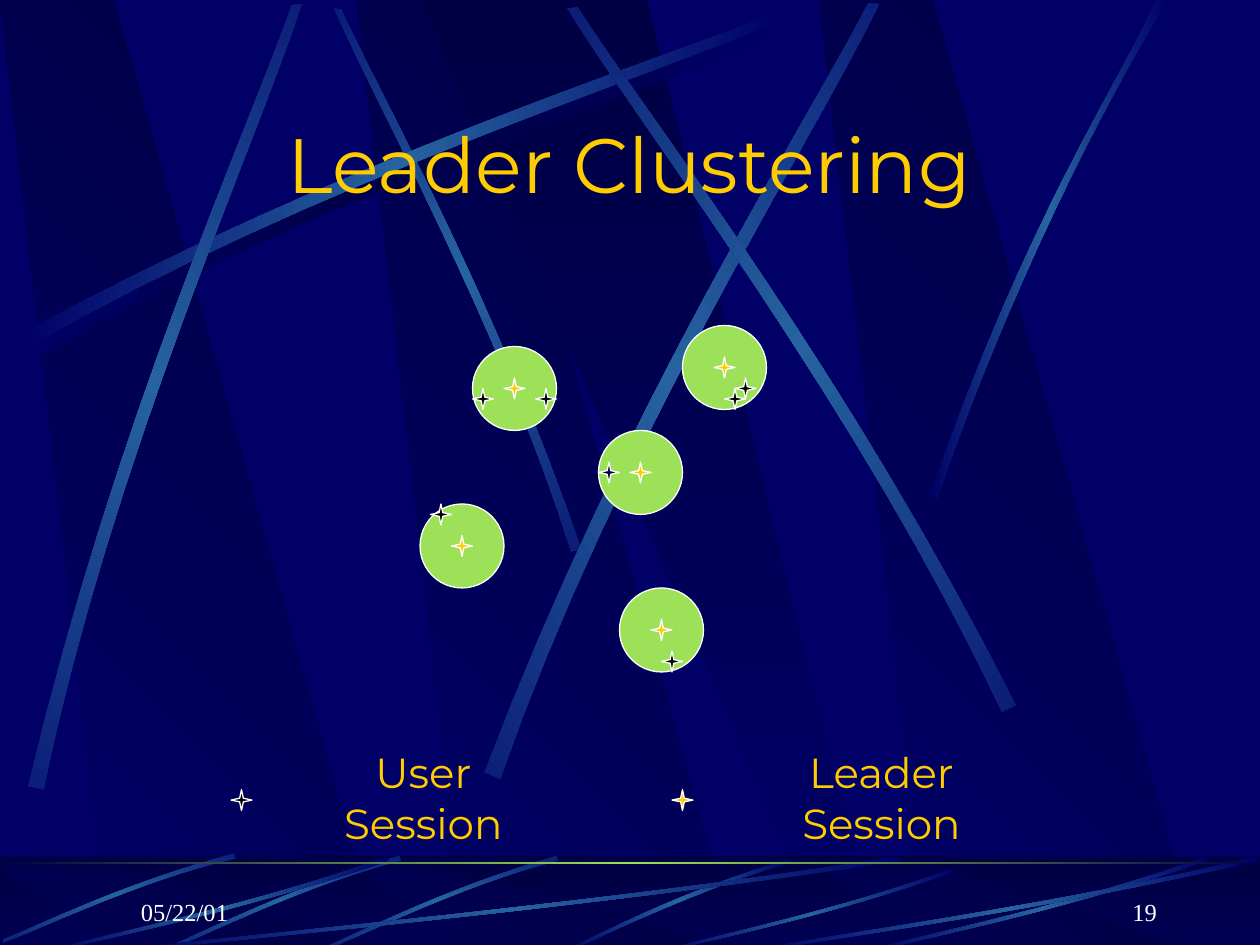
from copy import deepcopy

from lxml.etree import SubElement
from pptx import Presentation
from pptx.dml.color import RGBColor
from pptx.enum.shapes import MSO_SHAPE
from pptx.enum.text import MSO_ANCHOR, PP_ALIGN
from pptx.oxml.ns import qn
from pptx.util import Cm, Pt

NIGHT, NAVY, BLUE = "000044", "000066", "2663A0"
GREEN, GOLD, WHITE, BLACK = "9CE157", "FFCC00", "FFFFFF", "000000"
STEP = 2.54 / 12  # grid of the cluster diagram, in cm


def color(hex_code):
    return RGBColor.from_string(hex_code)


def curve(start, control_1, control_2, end, pieces=16):
    """Points along a cubic curve."""
    points = []
    for i in range(pieces + 1):
        t = i / pieces
        weights = ((1 - t) ** 3, 3 * t * (1 - t) ** 2, 3 * t * t * (1 - t), t ** 3)
        corners = (start, control_1, control_2, end)
        points.append(tuple(sum(w * c[axis] for w, c in zip(weights, corners))
                            for axis in (0, 1)))
    return points


# Outlines as fractions of their box
SLANT = [(0.29, 1), (1, 1), (0.3, 0), (0, 0)]
BEAM = [(0, 0), (0.9, 1), (1, 1), (0.5, 0)]
SWEEP = (curve((0, 0.96), (0.43, 0.43), (0.83, 0.15), (0.99, 0))
         + curve((1, 0.02), (0.83, 0.19), (0.39, 0.5), (0.01, 1)))
SIDE_SWEEP = (curve((0, 0.99), (0.4, 0.44), (0.79, 0.17), (0.95, 0))
              + curve((1, 0), (0.52, 0.37), (0.16, 0.81), (0.03, 1)))
FOOTER_SWEEP = (curve((0.99, 0), (0.49, 0.37), (0.16, 0.82), (0, 0.99))
                + curve((0.03, 1), (0.23, 0.75), (0.68, 0.25), (1, 0.04)))


class Deck:
    text_color = GOLD
    font_name = "Montserrat"

    def __init__(self):
        self.presentation = Presentation()
        self.presentation.slide_width = Cm(25.4)
        self.presentation.slide_height = Cm(19.05)
        self.slide = None

    def add_slide(self, background):
        self.slide = self.presentation.slides.add_slide(
            self.presentation.slide_layouts[6])
        self.slide.background.fill.solid()
        self.slide.background.fill.fore_color.rgb = color(background)

    def paint(self, shape, fill, angle=0, opacity=100, line=None):
        """Fill with one colour, or with evenly spaced gradient colours."""
        shape.shadow.inherit = False
        if isinstance(fill, str):
            shape.fill.solid()
            shape.fill.fore_color.rgb = color(fill)
            if opacity < 100:
                tint = shape._element.spPr.find(qn("a:solidFill"))[0]
                SubElement(tint, qn("a:alpha")).set("val", str(opacity * 1000))
        else:
            shape.fill.gradient()
            shape.fill.gradient_angle = -angle % 360
            stop_list = shape._element.spPr.find(qn("a:gradFill")).find(qn("a:gsLst"))
            while len(stop_list) < len(fill):
                stop_list.append(deepcopy(stop_list[-1]))
            for i, (stop, shade) in enumerate(zip(shape.fill.gradient_stops, fill)):
                stop.color.rgb = color(shade)
                stop.position = i / (len(fill) - 1)
        if line:
            shape.line.color.rgb = color(line)
            shape.line.width = Pt(0.75)
        else:
            shape.line.fill.background()

    def outline(self, fractions, box, fill, angle=0, rotation=0, mirrored=False):
        left, top, width, height = box
        points = [(int(Cm(left + width * (1 - x if mirrored else x))),
                   int(Cm(top + height * y))) for x, y in fractions]
        builder = self.slide.shapes.build_freeform(*points[0], scale=1.0)
        builder.add_line_segments(points[1:], close=True)
        shape = builder.convert_to_shape()
        shape.rotation = rotation
        self.paint(shape, fill, angle)

    def streak(self, fractions, box, rotation=0, mirrored=False, glow=BLUE):
        self.outline(fractions, box, (NAVY, glow, NAVY), 180, rotation, mirrored)

    def preset(self, kind, box, fill, **style):
        shape = self.slide.shapes.add_shape(kind, *map(Cm, box))
        self.paint(shape, fill, **style)

    def mark(self, kind, center, radius, fill):
        """Outlined symbol around a point of the diagram grid."""
        column, row = center
        box = [STEP * v for v in (column - radius, row - radius, 2 * radius, 2 * radius)]
        self.preset(kind, box, fill, line=WHITE)

    def star(self, center, fill):
        self.mark(MSO_SHAPE.STAR_4_POINT, center, 1, fill)

    def text(self, words, box, size, align=PP_ALIGN.CENTER, anchor=MSO_ANCHOR.MIDDLE,
             font_name=None, text_color=None, indent=0):
        frame = self.slide.shapes.add_textbox(*map(Cm, box)).text_frame
        frame.word_wrap = True
        frame.vertical_anchor = anchor
        frame.margin_left = Cm(0.25 + indent)
        paragraph = frame.paragraphs[0]
        paragraph.text = words
        paragraph.alignment = align
        paragraph.font.size = Pt(size)
        paragraph.font.name = font_name or self.font_name
        paragraph.font.color.rgb = color(text_color or self.text_color)

    def save(self):
        self.presentation.save("out.pptx")


def add_panels(deck, tops, beam_top, height):
    for left, top in zip((7.19, 0, 16.51), tops):
        deck.outline(SLANT, (left, top, 7.67, height), (NIGHT, NAVY), 135)
    deck.outline(BEAM, (8.46, beam_top, 9.17, height), (NIGHT, NAVY), 90)


def main():
    deck = Deck()
    deck.add_slide(NAVY)

    # Backdrop panels and light streaks
    add_panels(deck, (0.02, 0, 0.02), 0, 19.1)
    deck.streak(SWEEP, (0.51, 0.46, 15.44, 6.78), glow=NIGHT)
    deck.streak(SWEEP, (3.58, 3.43, 11.23, 4.45), 45, mirrored=True)
    deck.streak(SWEEP, (0.36, 0.25, 15.44, 6.78))
    deck.streak(SWEEP, (-4.34, 4.62, 15.44, 6.78), 311.7)
    deck.streak(SWEEP, (5.87, 4.06, 15.85, 7.65), 321.6)
    deck.streak(SWEEP, (8.2, 3.86, 15.44, 6.78), 34.8, mirrored=True)
    deck.streak(SIDE_SWEEP, (18.75, 0, 4.8, 10.08))

    # Footer band
    deck.preset(MSO_SHAPE.RECTANGLE, (0, 17.27, 25.4, 1.9), (NIGHT, NAVY), angle=90)
    add_panels(deck, (17.48,) * 3, 17.48, 1.68)
    deck.preset(MSO_SHAPE.RECTANGLE, (0, 17.25, 25.4, 1.9), NIGHT, opacity=50)
    deck.streak(FOOTER_SWEEP, (11.38, 17.32, 4.57, 1.85))
    for box in ((6.55, 17.17, 4.67, 2.11), (3.38, 17.17, 4.67, 2.11),
                (0.13, 17.04, 4.55, 2.16)):
        deck.streak(SWEEP, box, 314.9, mirrored=True)
    for box in ((2.54, 17.27, 15.67, 1.9), (1.07, 17.27, 6.78, 1.9),
                (13.39, 17.5, 5.87, 1.68), (17.58, 17.27, 6.78, 1.9),
                (15.24, 17.27, 10.16, 1.9)):
        deck.streak(SWEEP, box, 180)
    deck.preset(MSO_SHAPE.RECTANGLE, (0, 17.37, 25.4, 0.05),
                (NIGHT, GREEN, NIGHT), angle=180)

    # Title
    deck.text("Leader Clustering", (1.9, 2.21, 21.59, 2.13), 44)

    # Clusters, each with its leader in the middle
    for leader in ((61, 45), (49, 37), (44, 52), (63, 60), (69, 35)):
        deck.mark(MSO_SHAPE.OVAL, leader, 4, GREEN)
        deck.star(leader, GOLD)

    # User sessions
    for user in ((52, 38), (70, 38), (71, 37), (42, 49), (64, 63), (46, 38)):
        deck.star(user, BLACK)
    deck.star((58, 45), NIGHT)

    # Legend
    for label, column, fill, left, width in (
            ("User Session", 23, BLACK, 5.74, 5.59),
            ("Leader Session", 65, GOLD, 14.53, 6.48)):
        deck.star((column, 76.2), fill)
        deck.text(label, (left, 15.44, width, 1.27), 24)

    # Date and slide number
    for words, left, align in (("19", 18.29, PP_ALIGN.RIGHT),
                               ("05/22/01", 1.98, PP_ALIGN.LEFT)):
        deck.text(words, (left, 17.53, 5.28, 1.27), 14, align, MSO_ANCHOR.BOTTOM,
                  "Times New Roman", WHITE, indent=0.61)

    deck.save()


if __name__ == "__main__":
    main()
